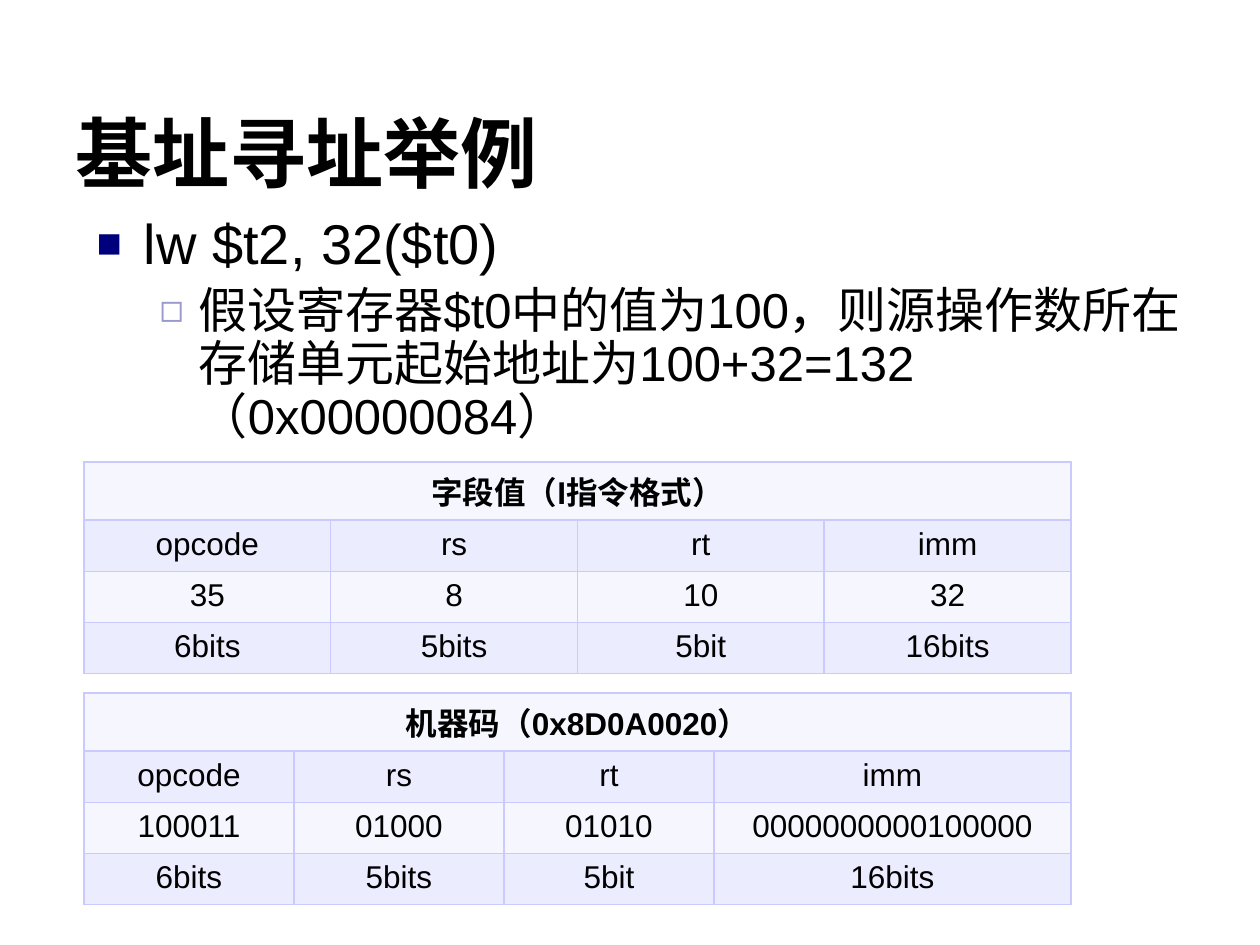
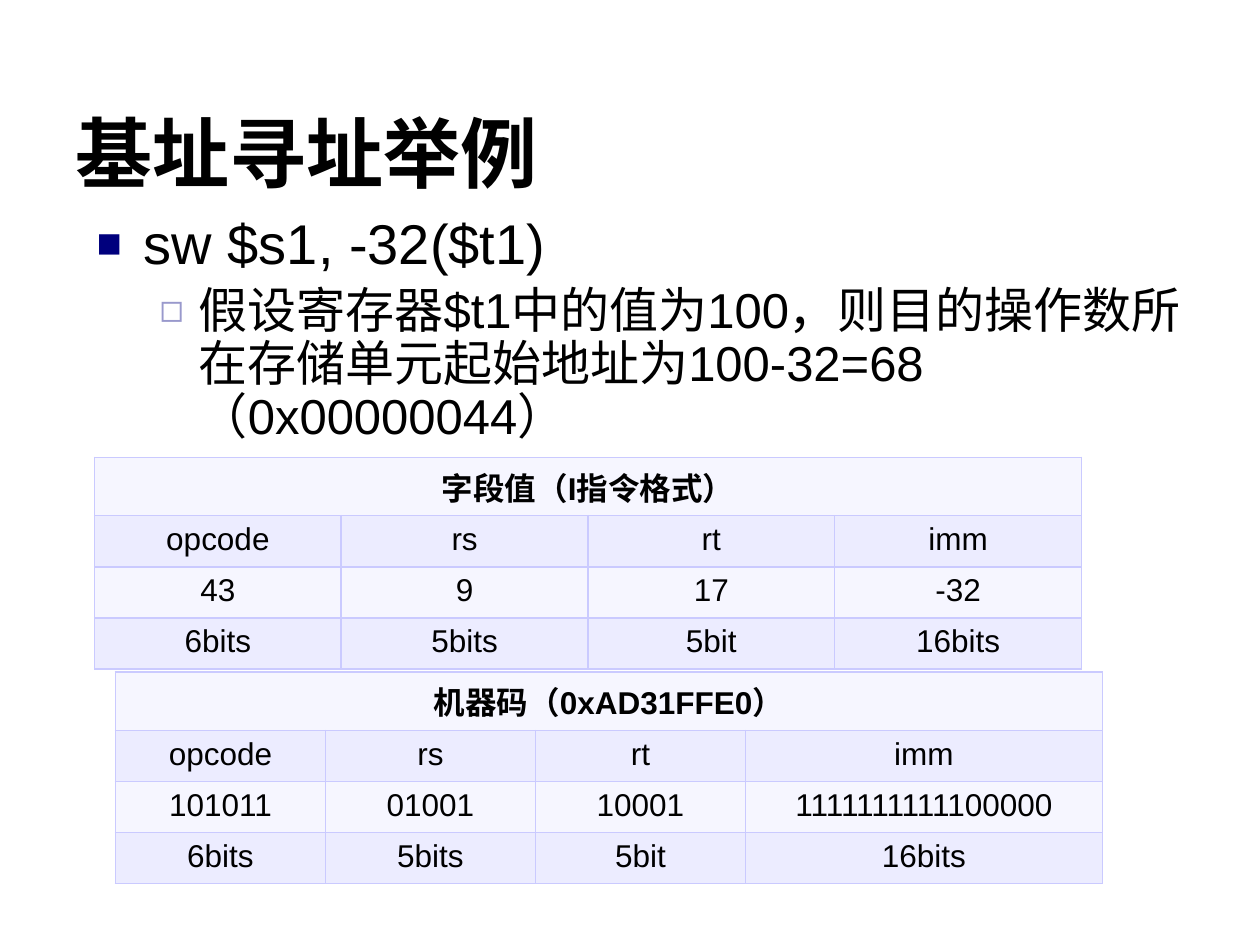
from lxml import etree
from pptx import Presentation
from pptx.dml.color import RGBColor
from pptx.enum.text import MSO_ANCHOR, MSO_AUTO_SIZE, PP_ALIGN
from pptx.oxml.ns import qn
from pptx.util import Pt

LEFT, CENTER = PP_ALIGN.LEFT, PP_ALIGN.CENTER
MIDDLE = MSO_ANCHOR.MIDDLE
NO_AUTOFIT = MSO_AUTO_SIZE.NONE

FONT = "Arial"
TEXT = "000000"
BORDER = "CACAFF"
ROW_FILLS = ("F6F6FF", "ECECFF")

TITLE = "基址寻址举例"
TITLE_BOX = (36, 36, 648, 108)
BODY_BOX = (48, 120, 648, 144)
TABLE_WIDTH, ROW_HEIGHT = 564, 29.2
FIELD_COLUMNS = [TABLE_WIDTH / 4] * 4
CODE_COLUMNS = [120, 120, 120, 204]
FIELD_NAMES = ["opcode", "rs", "rt", "imm"]
FIELD_SIZES = ["6bits", "5bits", "5bit", "16bits"]

# Per outline level: text size, left margin, hanging indent, bullet, colour, bullet percent
LEVELS = [
    (32, 27, 27, "■", "00007D", 75),
    (28, 58.5, 22.5, "◻", "9999CC", 80),
]

SLIDES = [
    {
        "outline": ["lw $t2, 32($t0)",
                    "假设寄存器$t0中的值为100，则源操作数所在存储单元起始地址为100+32=132（0x00000084）"],
        "fields": ["35", "8", "10", "32"],
        "field_position": (48, 264),
        "machine_code": "0x8D0A0020",
        "bits": ["100011", "01000", "01010", "0000000000100000"],
        "code_position": (48, 396),
    },
    {
        "outline": ["sw $s1, -32($t1)",
                    "假设寄存器$t1中的值为100，则目的操作数所在存储单元起始地址为100-32=68（0x00000044）"],
        "fields": ["43", "9", "17", "-32"],
        "field_position": (54, 261.4),
        "machine_code": "0xAD31FFE0",
        "bits": ["101011", "01001", "10001", "1111111111100000"],
        "code_position": (66, 384),
    },
]


def color(hex_string):
    return RGBColor.from_string(hex_string)


def set_font(paragraph, size, bold=False):
    font = paragraph.font
    font.name, font.size, font.bold = FONT, Pt(size), bold
    font.color.rgb = color(TEXT)


def place(shape, box):
    shape.left, shape.top, shape.width, shape.height = map(Pt, box)


def add_title(slide, box):
    title = slide.shapes.title
    place(title, box)
    frame = title.text_frame
    frame.text = TITLE
    frame.auto_size = NO_AUTOFIT
    frame.vertical_anchor = MIDDLE
    paragraph = frame.paragraphs[0]
    paragraph.alignment = LEFT
    paragraph.line_spacing = 0.9
    set_font(paragraph, 44, bold=True)


def set_bullet(paragraph, margin, hanging, character, bullet_color, percent):
    properties = paragraph._p.get_or_add_pPr()
    properties.set("marL", str(Pt(margin)))
    properties.set("indent", str(-Pt(hanging)))
    bullet = etree.SubElement(properties, qn("a:buClr"))
    etree.SubElement(bullet, qn("a:srgbClr"), val=bullet_color)
    etree.SubElement(properties, qn("a:buSzPct"), val=str(percent * 1000))
    etree.SubElement(properties, qn("a:buFont"), typeface=FONT)
    etree.SubElement(properties, qn("a:buChar"), char=character)


def add_outline(slide, box, lines):
    """Fill the body placeholder, one line for each outline level."""
    body = slide.placeholders[1]
    place(body, box)
    frame = body.text_frame
    frame.text = "\n".join(lines)
    frame.auto_size = NO_AUTOFIT
    for level, paragraph in enumerate(frame.paragraphs):
        size, *bullet = LEVELS[level]
        paragraph.level = level
        paragraph.line_spacing = 0.9
        set_bullet(paragraph, *bullet)
        set_font(paragraph, size)


def set_borders(cell):
    properties = cell._tc.get_or_add_tcPr()
    for side in ("lnL", "lnR", "lnT", "lnB"):
        line = etree.SubElement(properties, qn(f"a:{side}"), w=str(Pt(1)))
        fill = etree.SubElement(line, qn("a:solidFill"))
        etree.SubElement(fill, qn("a:srgbClr"), val=BORDER)


def add_instruction_table(slide, position, widths, heading, values):
    """Add a heading across all columns above names, values and sizes of the fields."""
    rows = [[heading, "", "", ""], FIELD_NAMES, values, FIELD_SIZES]
    left, top = position
    table = slide.shapes.add_table(
        len(rows), len(widths), Pt(left), Pt(top),
        Pt(TABLE_WIDTH), Pt(ROW_HEIGHT * len(rows))).table
    table.horz_banding = False
    for column, width in zip(table.columns, widths):
        column.width = Pt(width)
    for row_index, row in enumerate(rows):
        for column_index, text in enumerate(row):
            cell = table.cell(row_index, column_index)
            cell.text = text
            set_borders(cell)
            cell.fill.solid()
            cell.fill.fore_color.rgb = color(ROW_FILLS[row_index % 2])
            paragraph = cell.text_frame.paragraphs[0]
            paragraph.alignment = CENTER
            set_font(paragraph, 18, bold=row_index == 0)
    table.cell(0, 0).merge(table.cell(0, len(widths) - 1))


def add_example_slide(presentation, example):
    slide = presentation.slides.add_slide(presentation.slide_layouts[1])
    add_title(slide, TITLE_BOX)
    add_outline(slide, BODY_BOX, example["outline"])
    add_instruction_table(slide, example["field_position"], FIELD_COLUMNS,
                          "字段值（I指令格式）", example["fields"])
    add_instruction_table(slide, example["code_position"], CODE_COLUMNS,
                          f"机器码（{example['machine_code']}）", example["bits"])


def main():
    presentation = Presentation()
    presentation.slide_width, presentation.slide_height = Pt(720), Pt(540)
    for example in SLIDES:
        add_example_slide(presentation, example)
    presentation.save("out.pptx")


if __name__ == "__main__":
    main()
